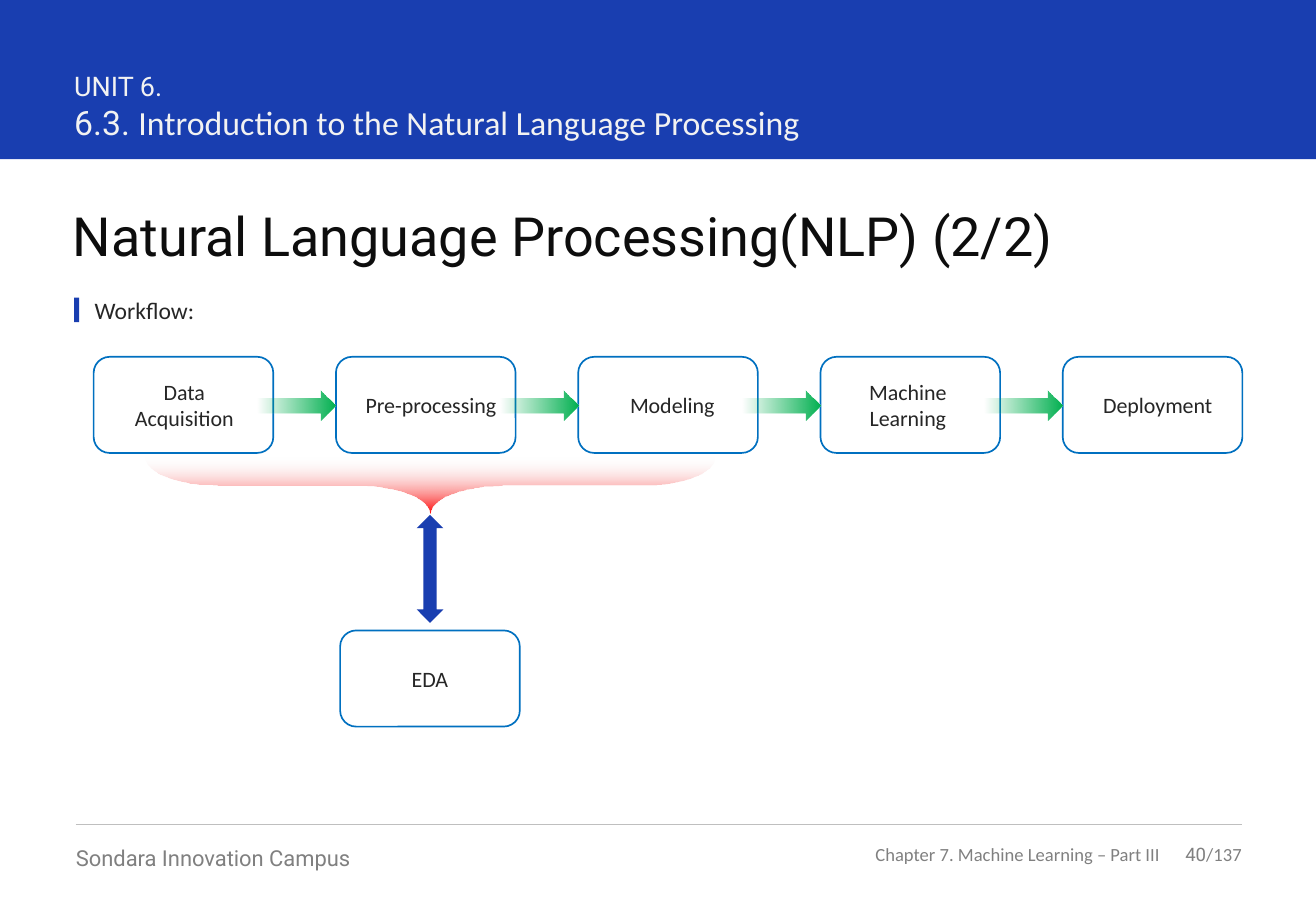
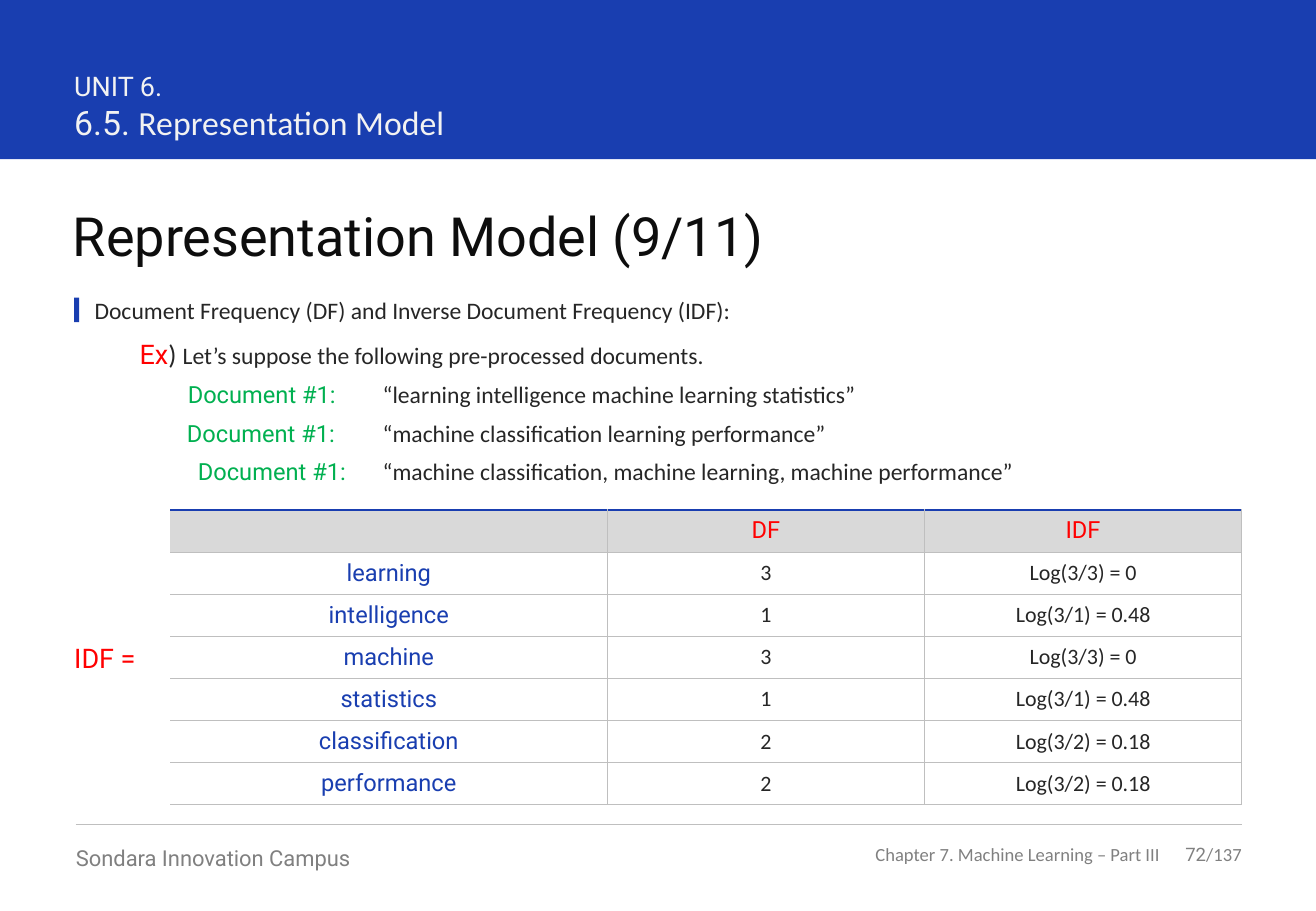
from lxml.etree import SubElement
from pptx import Presentation
from pptx.dml.color import RGBColor
from pptx.enum.shapes import MSO_CONNECTOR, MSO_SHAPE as SHAPE
from pptx.enum.text import MSO_ANCHOR as ANCHOR, PP_ALIGN as ALIGN
from pptx.oxml.ns import qn
from pptx.util import Pt

BLUE = RGBColor(0x19, 0x3E, 0xB0)
BOX_BLUE = RGBColor(0x00, 0x70, 0xC0)
RED = RGBColor(0xFF, 0x00, 0x00)
GREEN = RGBColor(0x00, 0xB0, 0x50)
BLACK = RGBColor(0x0D, 0x0D, 0x0D)
DARK = RGBColor(0x26, 0x26, 0x26)
GRAY = RGBColor(0x80, 0x80, 0x80)
RULE = RGBColor(0xBF, 0xBF, 0xBF)
HEADER_FILL = RGBColor(0xD9, 0xD9, 0xD9)
PALE = RGBColor(0xF5, 0xF6, 0xF5)
OFF_WHITE = RGBColor(0xF2, 0xF2, 0xF2)
SANS = "Roboto"
BODY = "Calibri"
RIGHT_EDGE = 736


def write(target, *lines, size=14, font=BODY, color=DARK, align=ALIGN.LEFT,
          anchor=ANCHOR.TOP, left=0, right=0, space_after=0):
    frame = target.text_frame
    box = target if hasattr(target, "margin_left") else frame
    box.margin_left, box.margin_right = Pt(left), Pt(right)
    box.margin_top = box.margin_bottom = 0
    box.vertical_anchor = anchor
    frame.word_wrap = True
    for index, line in enumerate(lines):
        paragraph = frame.add_paragraph() if index else frame.paragraphs[0]
        paragraph.alignment = align
        paragraph.space_after = Pt(space_after)
        for part in [(line,)] if isinstance(line, str) else line:
            text, run_size, run_font, run_color = part + (size, font, color)[len(part) - 1:]
            run = paragraph.add_run()
            run.text = text
            run.font.size = Pt(run_size)
            run.font.name = run_font
            run.font.color.rgb = run_color


def draw(slide, kind, left, top, width, height, fill=None, line=None):
    shape = slide.shapes.add_shape(kind, Pt(left), Pt(top), Pt(width), Pt(height))
    shape.shadow.inherit = False
    if fill is None:
        shape.fill.background()
    else:
        shape.fill.solid()
        shape.fill.fore_color.rgb = fill
    if line is None:
        shape.line.fill.background()
    else:
        shape.line.color.rgb = line
        shape.line.width = Pt(1)
    return shape


presentation = Presentation()
presentation.slide_width = Pt(780)
presentation.slide_height = Pt(540)

pages = [
    ("40", "6.3. ", "Introduction to the Natural Language Processing",
     "Natural Language Processing(NLP) (2/2)", "Workflow:"),
    ("72", "6.5. ", "Representation Model", "Representation Model (9/11)",
     "Document Frequency (DF) and Inverse Document Frequency (IDF):"),
]
for page, number, section, title, topic in pages:
    slide = presentation.slides.add_slide(presentation.slide_layouts[6])
    draw(slide, SHAPE.RECTANGLE, 0, 0, 780, 94.3, fill=BLUE)
    draw(slide, SHAPE.RECTANGLE, 44, 176.5, 3, 14.5, fill=BLUE)
    footer_rule = slide.shapes.add_connector(
        MSO_CONNECTOR.STRAIGHT, Pt(45), Pt(488.8), Pt(RIGHT_EDGE), Pt(488.8))
    footer_rule.line.color.rgb = RULE
    footer_rule.line.width = Pt(0.5)
    SubElement(footer_rule._element.spPr, qn("a:effectLst"))

    texts = [
        ((44, 41, 680, 44), [[("UNIT 6.", 16)], [(number,), (section, 20, BODY)]],
         dict(size=20, font=SANS, color=OFF_WHITE)),
        ((43.2, 120.3, 692.8, 39), [title], dict(size=32, font=SANS, color=BLACK)),
        ((56, 175.7, 680, 17.3), [topic], {}),
        ((45, 500.4, 227.5, 16), ["Sondara Innovation Campus"],
         dict(size=13, font=SANS, color=GRAY)),
        ((504, 499.7, 183.6, 13.7), ["Chapter 7. Machine Learning – Part III"],
         dict(size=11, color=GRAY, align=ALIGN.RIGHT, anchor=ANCHOR.MIDDLE)),
        ((687.6, 499.7, 48.4, 13.7), [[(page, 11, SANS), ("/137",)]],
         dict(size=11, color=GRAY, align=ALIGN.RIGHT, anchor=ANCHOR.MIDDLE)),
    ]
    for place, lines, style in texts:
        write(slide.shapes.add_textbox(*map(Pt, place)), *lines, **style)

workflow, frequency = presentation.slides

BOX_LEFT, BOX_TOP, BOX_WIDTH, BOX_HEIGHT, BOX_STEP = 55.5, 211.5, 106.5, 57, 143.6
steps = [
    (["Data", "Acquisition"], 0.5),
    (["Pre-processing"], 3),
    (["Modeling"], 2.5),
    (["Machine", "Learning"], -1.5),
    (["Deployment"], 3),
]
boxes = [(lines, BOX_LEFT + index * BOX_STEP, BOX_TOP, shift)
         for index, (lines, shift) in enumerate(steps)]
boxes.append((["EDA"], 201.6, 373.7, 0))
for lines, left, top, shift in boxes:
    box = draw(workflow, SHAPE.ROUNDED_RECTANGLE, left, top, BOX_WIDTH, BOX_HEIGHT, line=BOX_BLUE)
    write(box, *lines, size=13, align=ALIGN.CENTER, anchor=ANCHOR.MIDDLE,
          left=6 + shift, right=6 - shift)

draw(workflow, SHAPE.UP_DOWN_ARROW, 247, 305.2, 15.8, 64, fill=BLUE)

fading = [
    (draw(workflow, SHAPE.RIGHT_ARROW, BOX_LEFT + index * BOX_STEP - 46.3, 231.5, 46.3, 18),
     GREEN, GREEN)
    for index in range(1, len(steps))
]
brace = draw(workflow, SHAPE.RIGHT_BRACE, 238.4, 118.8, 33, 337.7)
brace.rotation = 90
brace.adjustments[0] = 1.3
fading.append((brace, PALE, RED))
for shape, start, end in fading:
    shape.fill.gradient()
    shape.fill.gradient_angle = 0
    for stop, color, position in zip(shape.fill.gradient_stops, (start, end), (0, 1)):
        stop.color.rgb = color
        stop.position = position
    clear = shape._element.spPr.find(".//" + qn("a:srgbClr"))
    SubElement(clear, qn("a:alpha"), val="0")

documents = [
    (28.5, "“learning intelligence machine learning statistics”"),
    (28, "“machine classification learning performance”"),
    (34.5, "“machine classification, machine learning, machine performance”"),
]
example = frequency.shapes.add_textbox(Pt(82.8), Pt(200.2), Pt(653.2), Pt(88.5))
write(example,
      [("Ex", 16, SANS, RED), (") ", 16), ("Let’s suppose the following pre-processed documents.",)],
      *[[("Document #1:\t", 14, SANS, GREEN), (quote,)] for indent, quote in documents],
      space_after=6)
for paragraph, (indent, quote) in zip(example.text_frame.paragraphs[1:], documents):
    properties = paragraph._p.get_or_add_pPr()
    properties.set("marL", "0")
    properties.set("indent", str(Pt(indent)))
    tabs = SubElement(properties, qn("a:tabLst"))
    SubElement(tabs, qn("a:tab"), pos=str(Pt(indent + 95)), algn="l")

write(frequency.shapes.add_textbox(Pt(44), Pt(380.2), Pt(45.5), Pt(19.5)), "IDF =",
      size=16, font=SANS, color=RED)

rows = [
    ("", "DF", "IDF"),
    ("learning", "3", "Log(3/3) = 0"),
    ("intelligence", "1", "Log(3/1) = 0.48"),
    ("machine", "3", "Log(3/3) = 0"),
    ("statistics", "1", "Log(3/1) = 0.48"),
    ("classification", "2", "Log(3/2) = 0.18"),
    ("performance", "2", "Log(3/2) = 0.18"),
]
widths = (259, 188, 188)
table = frequency.shapes.add_table(
    len(rows), len(widths), Pt(101), Pt(302.2), Pt(sum(widths)), Pt(25 * len(rows))).table
table.first_row = table.horz_banding = False
for column, width in zip(table.columns, widths):
    column.width = Pt(width)
for row_index, row in enumerate(rows):
    table.rows[row_index].height = Pt(25)
    for column_index, text in enumerate(row):
        cell = table.cell(row_index, column_index)
        if row_index == 0:
            style = dict(font=SANS, color=RED)
        elif column_index == 0:
            style = dict(font=SANS, color=BLUE)
        else:
            style = dict(size=13)
        write(cell, text, align=ALIGN.CENTER, anchor=ANCHOR.MIDDLE, **style)
        properties = cell._tc.get_or_add_tcPr()
        for side in "LRTB":
            heavy = side == "T" and row_index == 0
            border = SubElement(properties, qn("a:ln" + side), w=str(Pt(1 if heavy else 0.5)))
            if side == "L" and column_index == 0:
                SubElement(border, qn("a:noFill"))
            else:
                paint = SubElement(border, qn("a:solidFill"))
                SubElement(paint, qn("a:srgbClr"), val=str(BLUE if heavy else RULE))
        if row_index == 0:
            cell.fill.solid()
            cell.fill.fore_color.rgb = HEADER_FILL
        else:
            cell.fill.background()

presentation.save("out.pptx")
